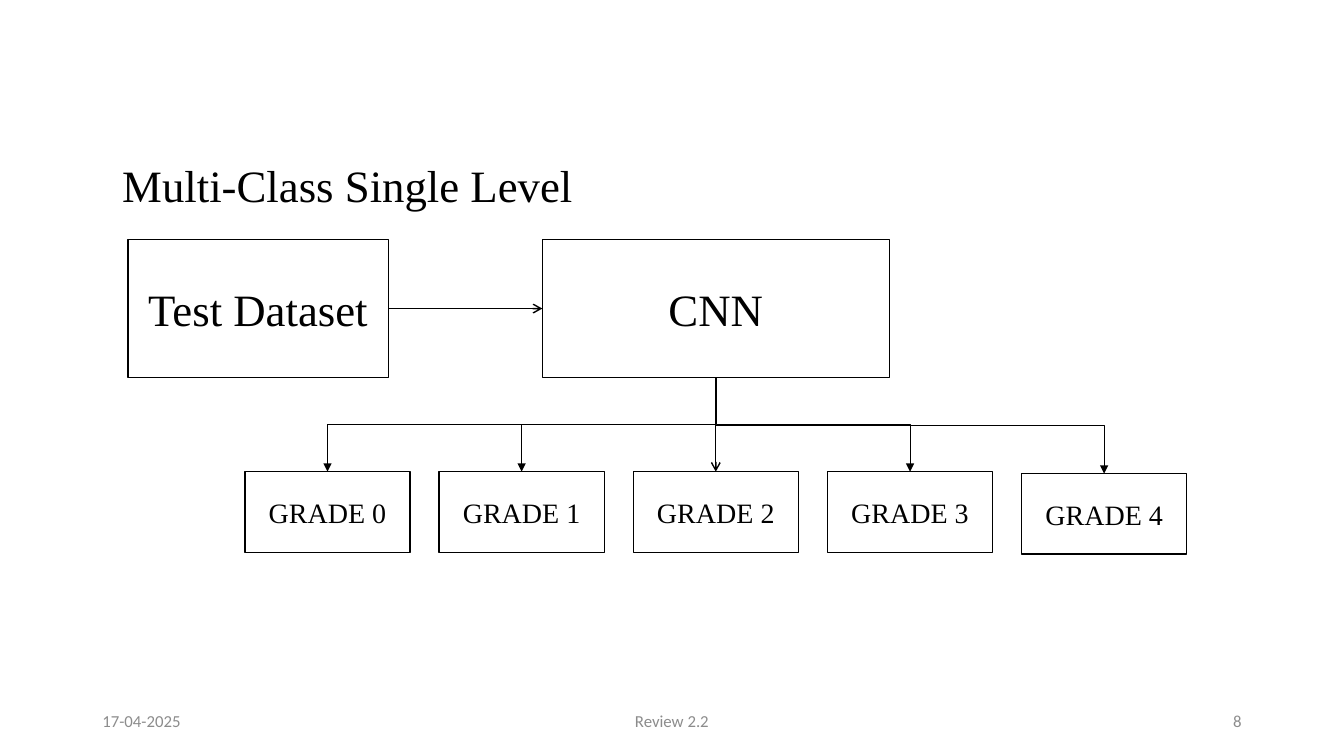
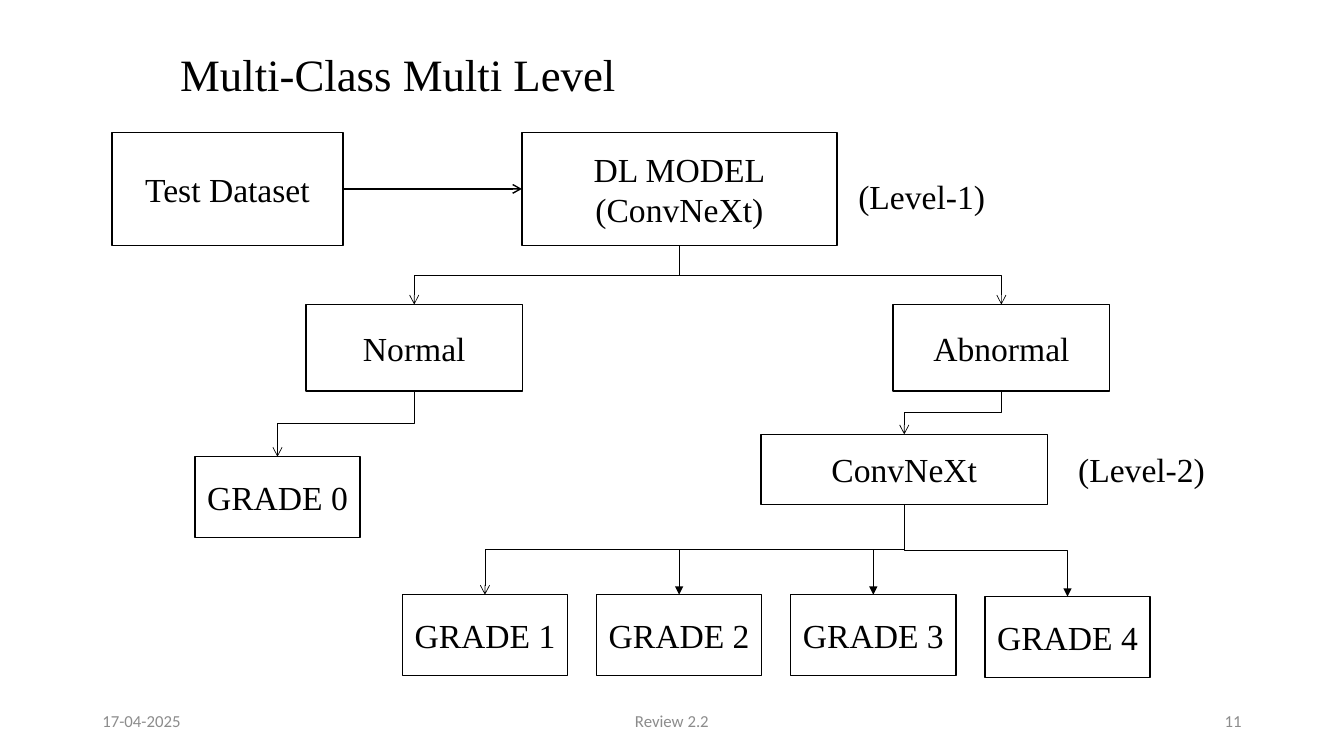
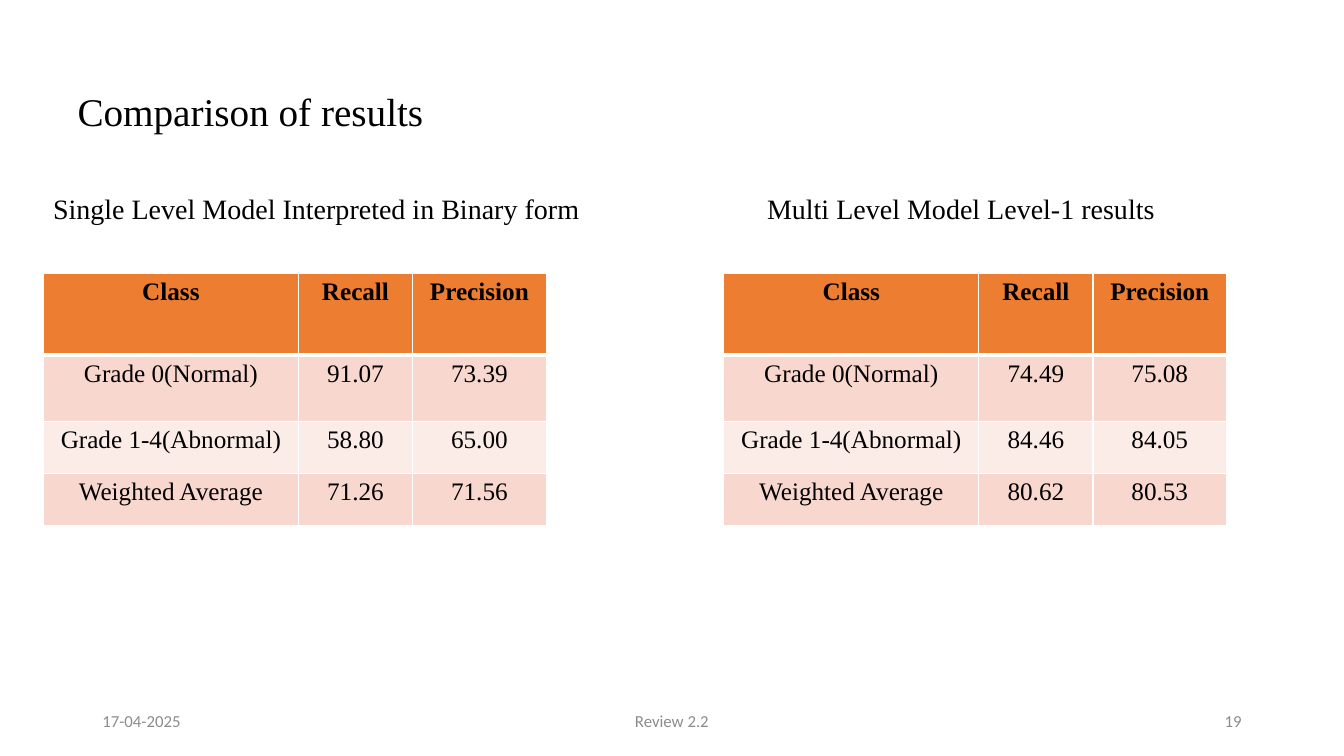
from dataclasses import dataclass

from lxml.etree import SubElement
from pptx import Presentation
from pptx.dml.color import RGBColor
from pptx.enum.shapes import MSO_CONNECTOR as CXN, MSO_SHAPE
from pptx.enum.text import MSO_ANCHOR as ANCHOR, MSO_AUTO_SIZE as FIT, PP_ALIGN as ALIGN
from pptx.oxml import parse_xml
from pptx.oxml.ns import nsdecls, qn
from pptx.util import Pt


@dataclass(frozen=True)
class Theme:
    ink: str = "000000"
    paper: str = "FFFFFF"
    muted: str = "8C8C8C"
    head: str = "ED7D31"
    band_dark: str = "F8D7CE"
    band_light: str = "FCECE8"
    body_font: str = "Times New Roman"
    foot_font: str = "Calibri"
    large: float = 32
    title: float = 28
    medium: float = 24
    label: float = 20
    cell: float = 18
    foot: float = 12
    box_line: float = 1
    branch_line: float = 0.5
    head_rule: float = 3


T = Theme()
TOP, LEFT, BOTTOM, RIGHT = range(4)
GRADE_W, GRADE_H, GRADE_PITCH, GRADE_DROP = 118, 57.6, 138.7, 1.4


def rgb(value):
    return RGBColor.from_string(value)


def assign(obj, values):
    for name, value in values.items():
        setattr(obj, name, value)


class Deck:
    def __init__(self):
        self.prs = Presentation()
        assign(self.prs, {"slide_width": Pt(960), "slide_height": Pt(540)})
        self.s = None

    def slide(self, number, title, at, size, **fmt):
        self.s = self.prs.slides.add_slide(self.prs.slide_layouts[5])
        sp = self.s.shapes.title
        assign(sp, dict(zip(("left", "top", "width", "height"), map(Pt, at))))
        self.set_text(sp.text_frame, title, size, **fmt)
        for text, left, width, align in (
            ("17-04-2025", 66, 216, ALIGN.LEFT),
            ("Review 2.2", 318, 324, ALIGN.CENTER),
            (str(number), 678, 216, ALIGN.RIGHT),
        ):
            self.text(text, (left, 500.5, width, 28.75), T.foot, align=align,
                      anchor=ANCHOR.MIDDLE, font=T.foot_font, color=T.muted)

    def set_text(self, tf, text, size, align=ALIGN.CENTER, anchor=ANCHOR.MIDDLE,
                 font=T.body_font, color=T.ink, spacing=1.0):
        assign(tf, {"text": text, "word_wrap": True, "auto_size": FIT.NONE,
                    "vertical_anchor": anchor})
        for p in tf.paragraphs:
            assign(p, {"alignment": align, "line_spacing": spacing})
            self.style(p, size, font, color)

    def style(self, p, size, font=T.body_font, color=T.ink, bold=False):
        for r in p.runs:
            assign(r.font, {"size": Pt(size), "name": font, "bold": bold})
            r.font.color.rgb = rgb(color)

    def text(self, text, at, size, align=ALIGN.LEFT, anchor=ANCHOR.TOP, **fmt):
        sp = self.s.shapes.add_textbox(*map(Pt, at))
        self.set_text(sp.text_frame, text, size, align, anchor, **fmt)

    def box(self, text, at, size):
        sp = self.s.shapes.add_shape(MSO_SHAPE.RECTANGLE, *map(Pt, at))
        sp.shadow.inherit = False
        sp.fill.solid()
        sp.fill.fore_color.rgb = rgb(T.paper)
        sp.line.color.rgb = rgb(T.ink)
        sp.line.width = Pt(T.box_line)
        self.set_text(sp.text_frame, text, size)
        return sp

    def grades(self, numbers, left, top, size):
        return [
            self.box(f"GRADE {n}", (left + i * GRADE_PITCH,
                                    top + GRADE_DROP * (n == 4), GRADE_W, GRADE_H), size)
            for i, n in enumerate(numbers)
        ]

    def connect(self, kind, a, a_side, b, b_side, width, head):
        c = self.s.shapes.add_connector(kind, 0, 0, 0, 0)
        c.begin_connect(a, a_side)
        c.end_connect(b, b_side)
        c.line.color.rgb = rgb(T.ink)
        c.line.width = Pt(width)
        SubElement(c.element.spPr.find(qn("a:ln")), qn("a:tailEnd"), type=head)
        SubElement(c.element.spPr, qn("a:effectLst"))
        return c

    def arrow(self, a, a_side, b, b_side):
        self.connect(CXN.STRAIGHT, a, a_side, b, b_side, T.box_line, "arrow")

    def branch(self, a, b, head="arrow"):
        c = self.connect(CXN.ELBOW, a, BOTTOM, b, TOP, T.branch_line, head)
        x1, y1, x2, y2 = c.begin_x, c.begin_y, c.end_x, c.end_y
        w, h = abs(y2 - y1), abs(x2 - x1)
        assign(c, {"left": (x1 + x2 - w) // 2, "top": (y1 + y2 - h) // 2,
                   "width": w, "height": h})
        right = x2 > x1
        xfrm = c.element.spPr.find(qn("a:xfrm"))
        for name, value in {"rot": (270 if right else 90) * 60000,
                            "flipH": int(right), "flipV": 0}.items():
            xfrm.set(name, str(value))

    def table(self, left, top, cols, heights, rows):
        tbl = self.s.shapes.add_table(
            len(rows), len(cols), Pt(left), Pt(top), Pt(sum(cols)), Pt(sum(heights))).table
        tbl.horz_banding = False
        for col, width in zip(tbl.columns, cols):
            col.width = Pt(width)
        for i, (row, height, values) in enumerate(zip(tbl.rows, heights, rows)):
            row.height = Pt(height)
            fill = T.head if i == 0 else (T.band_light, T.band_dark)[i % 2]
            for cell, value in zip(row.cells, values):
                cell.text = value
                cell.fill.solid()
                cell.fill.fore_color.rgb = rgb(fill)
                p = cell.text_frame.paragraphs[0]
                p.alignment = ALIGN.CENTER
                self.style(p, T.cell, bold=i == 0)
                self.borders(cell, i)

    def borders(self, cell, row):
        tcPr = cell._tc.get_or_add_tcPr()
        for i, side in enumerate("LRTB"):
            heavy = (row, side) in ((0, "B"), (1, "T"))
            width = Pt(T.head_rule if heavy else T.box_line)
            tcPr.insert(i, parse_xml(
                f'<a:ln{side} {nsdecls("a")} w="{width}"><a:solidFill>'
                f'<a:srgbClr val="{T.paper}"/></a:solidFill></a:ln{side}>'))


def single_level(d):
    d.slide(8, "Multi-Class Single Level", (61.2, 108.7, 374.4, 46), T.large)
    data = d.box("Test Dataset", (91.4, 171, 186, 98.8), T.large)
    cnn = d.box("CNN", (387.4, 171, 247.8, 98.8), T.large)
    d.arrow(data, RIGHT, cnn, LEFT)
    grades = d.grades(range(5), 174.9, 336.9, T.label)
    for n, grade in enumerate(grades):
        if n == 2:
            d.arrow(cnn, BOTTOM, grade, TOP)
        else:
            d.branch(cnn, grade, "triangle")


def multi_level(d):
    d.slide(11, "Multi-Class Multi Level", (97.2, 29.5, 374.4, 46), T.large)
    data = d.box("Test Dataset", (80, 94.5, 165, 80.9), T.medium)
    model = d.box("DL MODEL\n(ConvNeXt)", (372.8, 94.5, 225, 80.9), T.medium)
    d.arrow(data, RIGHT, model, LEFT)
    normal, abnormal = (
        d.box(text, (left, 217.5, 154.8, 61.8), T.medium)
        for text, left in (("Normal", 218.5), ("Abnormal", 637.9))
    )
    second = d.box("ConvNeXt", (543.5, 310.3, 204.8, 50), T.medium)
    healthy = d.grades([0], 139.2, 326.2, T.medium)[0]
    first, *others = d.grades(range(1, 5), 287.4, 424.8, T.medium)
    for a, b in ((model, normal), (model, abnormal), (normal, healthy),
                 (abnormal, second), (second, first)):
        d.branch(a, b)
    for grade in others:
        d.branch(second, grade, "triangle")
    for text, left, top in (("(Level-1)", 606, 121.9), ("(Level-2)", 763, 317)):
        d.text(text, (left, top, 157, 36), T.medium)


def comparison(d):
    d.slide(19, "Comparison of results", (48.2, 28.8, 828, 104.4), T.title,
            align=ALIGN.LEFT, spacing=0.9)
    classes = ("Grade 0(Normal)", "Grade 1-4(Abnormal)", "Weighted Average")
    for heading, left, width, table_left, recall, precision in (
        ("Single Level Model Interpreted in Binary form", 30.8, 410, 31,
         ("91.07", "58.80", "71.26"), ("73.39", "65.00", "71.56")),
        ("Multi Level Model Level-1 results", 540.8, 353, 517,
         ("74.49", "84.46", "80.62"), ("75.08", "84.05", "80.53")),
    ):
        d.text(heading, (left, 133.4, width, 31.5), T.label)
        rows = [("Class", "Recall", "Precision"), *zip(classes, recall, precision)]
        d.table(table_left, 195.3, (182.2, 81.5, 95.5), (58.3, 47.2, 37.2, 37.2), rows)


def main():
    d = Deck()
    for build in (single_level, multi_level, comparison):
        build(d)
    d.prs.save("out.pptx")


if __name__ == "__main__":
    main()
